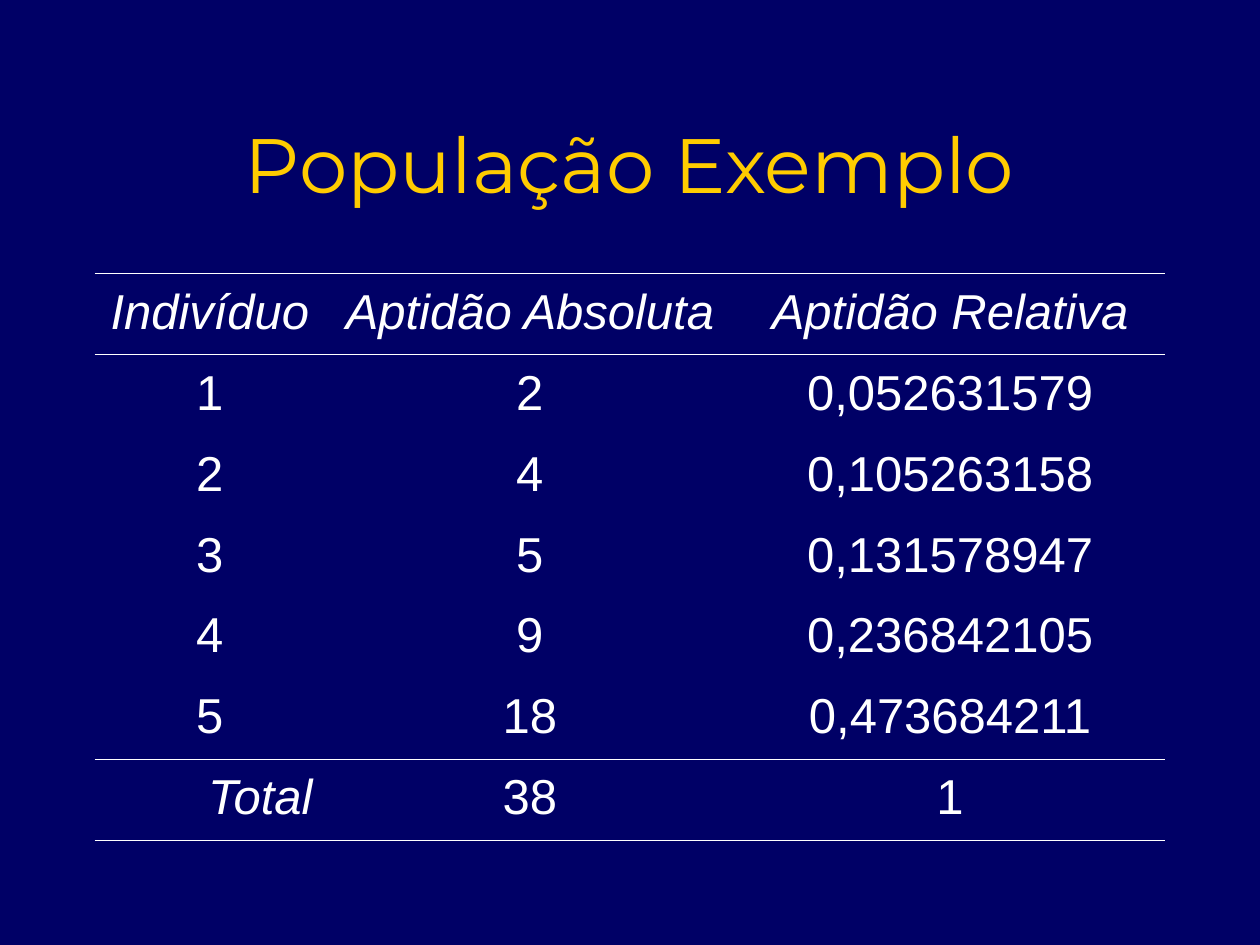
from dataclasses import dataclass

from lxml import etree
from pptx import Presentation
from pptx.dml.color import RGBColor
from pptx.enum.text import MSO_ANCHOR, PP_ALIGN
from pptx.oxml.ns import qn
from pptx.util import Inches, Pt

CENTER, RIGHT = PP_ALIGN.CENTER, PP_ALIGN.RIGHT
MIDDLE = MSO_ANCHOR.MIDDLE


@dataclass(frozen=True)
class Theme:
    back: str = "000066"
    gold: str = "FFCC00"
    white: str = "FFFFFF"
    head_font: str = "Montserrat"
    body_font: str = "Arial"
    head_size: int = 44
    body_size: int = 28
    rule: float = 0.23


class Deck:
    def __init__(self, theme):
        self.theme = theme
        self.prs = Presentation()
        self.prs.slide_width, self.prs.slide_height = Inches(10), Inches(7.5)
        self.slide = self.prs.slides.add_slide(self.prs.slide_layouts[6])
        fill = self.slide.background.fill
        fill.solid()
        fill.fore_color.rgb = RGBColor.from_string(theme.back)

    def style(self, para, name, size, color, align=CENTER, italic=False):
        para.alignment = align
        for run in para.runs:
            font = run.font
            font.name, font.size = name, Pt(size)
            font.bold, font.italic = False, italic
            font.color.rgb = RGBColor.from_string(color)

    def title(self, text, left, top, width, height):
        box = self.slide.shapes.add_textbox(
            Inches(left), Inches(top), Inches(width), Inches(height))
        frame = box.text_frame
        frame.word_wrap = True
        frame.vertical_anchor = MIDDLE
        frame.text = text
        look = self.theme
        self.style(frame.paragraphs[0], look.head_font, look.head_size, look.gold)

    def border(self, cell, side, shown):
        props = cell._tc.get_or_add_tcPr()
        line = etree.SubElement(props, qn(f"a:ln{side}"))
        if shown:
            line.set("w", str(Pt(self.theme.rule)))
            fill = etree.SubElement(line, qn("a:solidFill"))
            etree.SubElement(fill, qn("a:srgbClr"), val=self.theme.white)
        else:
            line.set("w", "0")
            etree.SubElement(line, qn("a:noFill"))

    def cell(self, cell, text, align, italic, above, below):
        # Borders come before the fill in the cell properties
        for side, shown in zip("LRTB", (False, False, above, below)):
            self.border(cell, side, shown)
        cell.fill.background()
        cell.vertical_anchor = MIDDLE
        cell.text = text
        para = cell.text_frame.paragraphs[0]
        para.line_spacing, para.space_before = 0.93, Pt(7)
        look = self.theme
        self.style(para, look.body_font, look.body_size, look.white, align, italic)

    def table(self, rows, widths, left, top, height):
        count, last = len(rows), len(rows) - 1
        table = self.slide.shapes.add_table(
            count, len(widths), Inches(left), Inches(top),
            Inches(sum(widths)), Inches(height)).table
        table.first_row = table.horz_banding = False
        for col, width in zip(table.columns, widths):
            col.width = Inches(width)
        # Rules frame the header row and the total row
        rules = {0, 1, last, count}
        for r, row in enumerate(rows):
            table.rows[r].height = Inches(height / count)
            for c, text in enumerate(row):
                total = r == last and c == 0
                self.cell(table.cell(r, c), text, RIGHT if total else CENTER,
                          r == 0 or total, r in rules, r + 1 in rules)

    def save(self):
        self.prs.save("out.pptx")


ROWS = [
    ("Indivíduo", "Aptidão Absoluta", "Aptidão Relativa"),
    ("1", "2", "0,052631579"),
    ("2", "4", "0,105263158"),
    ("3", "5", "0,131578947"),
    ("4", "9", "0,236842105"),
    ("5", "18", "0,473684211"),
    ("Total", "38", "1"),
]


def main():
    deck = Deck(Theme())
    # Heading
    deck.title("População Exemplo", 0.75, 0.87, 8.5, 0.84)
    # Fitness table
    deck.table(ROWS, (1.83, 3.25, 3.42), 0.75, 2.17, 4.5)
    deck.save()


if __name__ == "__main__":
    main()
